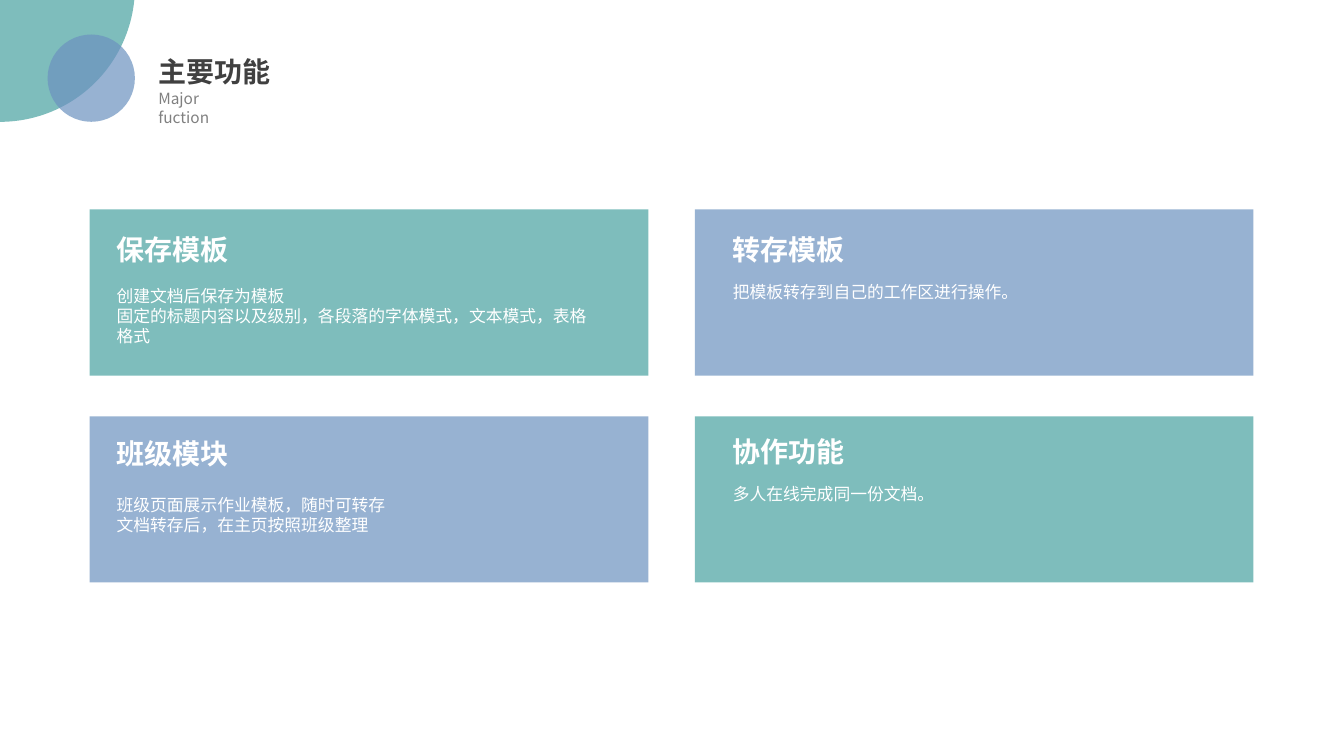
from pptx import Presentation
from pptx.dml.color import RGBColor
from pptx.enum.shapes import MSO_SHAPE
from pptx.oxml.ns import qn
from pptx.util import Cm, Pt
from lxml.etree import SubElement

TEAL = RGBColor(0x48, 0xA2, 0xA0)
BLUE = RGBColor(0x6C, 0x92, 0xC0)
WHITE = RGBColor(0xFF, 0xFF, 0xFF)
DARK = RGBColor(0x40, 0x40, 0x40)
GRAY = RGBColor(0x80, 0x80, 0x80)
FONT = "Noto Sans CJK SC"

HEAD = {"size": Pt(20), "bold": True, "name": FONT}
BODY = {"size": Pt(12), "bold": False, "name": FONT}
SMALL = {"size": Pt(11), "bold": False, "name": FONT}

CARDS = [
    ("保存模板", ["创建文档后保存为模板",
              "固定的标题内容以及级别，各段落的字体模式，文本模式，表格格式"],
     TEAL, 0.43, 0.46, 1.8),
    ("转存模板", ["把模板转存到自己的工作区进行操作。"], BLUE, 0.71, 0.46, 1.7),
    ("班级模块", ["班级页面展示作业模板，随时可转存",
              "文档转存后，在主页按照班级整理"],
     BLUE, 0.43, 0.38, 1.85),
    ("协作功能", ["多人在线完成同一份文档。"], TEAL, 0.71, 0.33, 1.57),
]


def add_block(slide, kind, box, color):
    shape = slide.shapes.add_shape(kind, *map(Cm, box))
    shape.shadow.inherit = False
    shape.line.fill.background()
    shape.fill.solid()
    shape.fill.fore_color.rgb = color
    tint = shape.fill._xPr.find(".//" + qn("a:srgbClr"))
    SubElement(tint, qn("a:alpha"), val="70000")


def add_text(slide, box, lines, form, color, wrap=True):
    frame = slide.shapes.add_textbox(*map(Cm, box)).text_frame
    frame.word_wrap = wrap
    for index, line in enumerate(lines):
        para = frame.paragraphs[0] if index == 0 else frame.add_paragraph()
        run = para.add_run()
        run.text = line
        for key, value in form.items():
            setattr(run.font, key, value)
        run.font.color.rgb = color
        SubElement(run.font._element, qn("a:ea"), typeface=FONT)


def add_header(slide, left, top):
    add_block(slide, MSO_SHAPE.OVAL, (left - 3.4, top - 3.73, 6.8, 6.8), TEAL)
    add_block(slide, MSO_SHAPE.OVAL, (left + 1.2, top + 0.87, 2.2, 2.2), BLUE)
    add_text(slide, (left + 3.74, top + 1.25, 3.36, 1.11),
             ["主要功能"], HEAD, DARK, False)
    add_text(slide, (left + 3.74, top + 2.13, 2.76, 0.73),
             ["Major fuction"], SMALL, GRAY)


def add_card(slide, box, card):
    title, lines, color, inset, head, body = card
    left, top = box[:2]
    add_block(slide, MSO_SHAPE.RECTANGLE, box, color)
    add_text(slide, (left + inset, top + head, 3.36, 1.11),
             [title], HEAD, WHITE, False)
    add_text(slide, (left + inset, top + body, 12.42, 0.25 + 0.53 * len(lines)),
             lines, BODY, WHITE)


def add_grid(slide, left, top):
    for index, card in enumerate(CARDS):
        row, col = divmod(index, 2)
        box = (left + col * 15.25, top + row * 5.21, 14.08, 4.19)
        add_card(slide, box, card)


def main():
    deck = Presentation()
    deck.slide_width, deck.slide_height = Cm(33.87), Cm(19.05)
    slide = deck.slides.add_slide(deck.slide_layouts[6])
    add_grid(slide, 2.26, 5.28)
    add_header(slide, 0, 0)
    deck.save("out.pptx")


if __name__ == "__main__":
    main()
